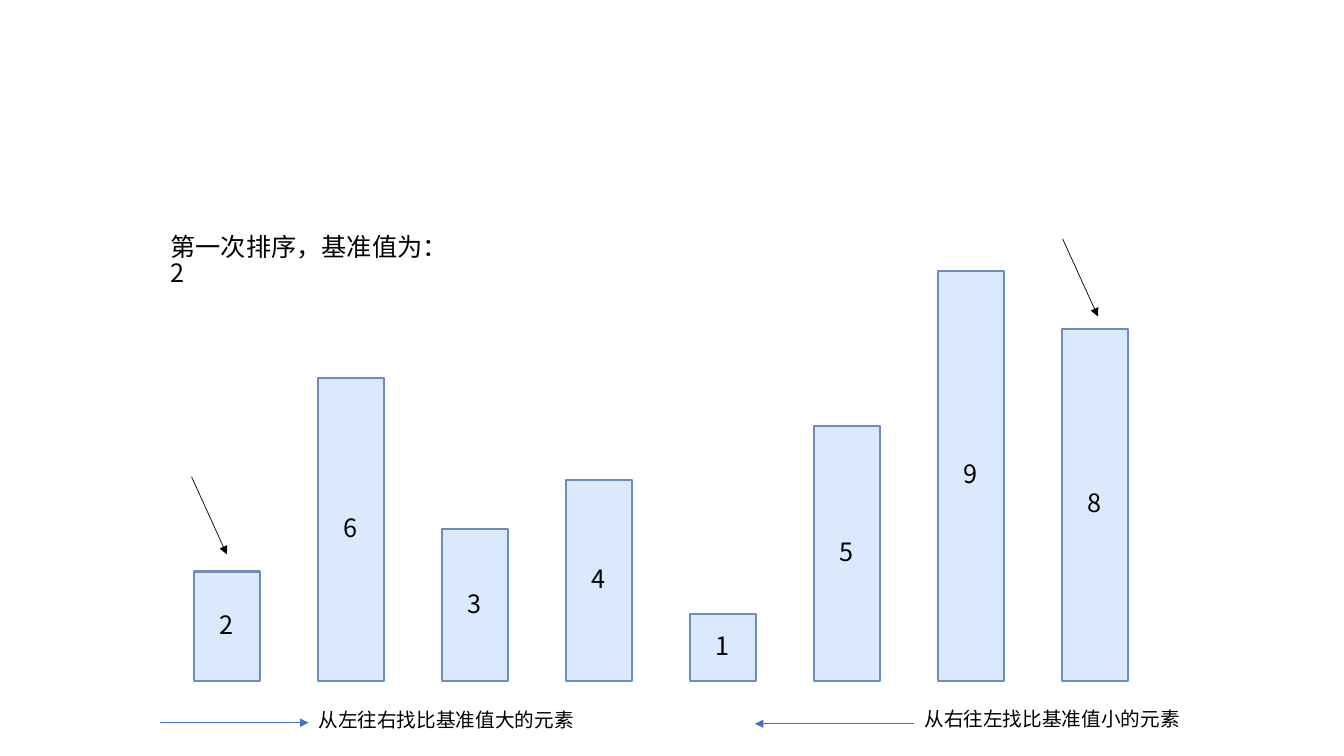
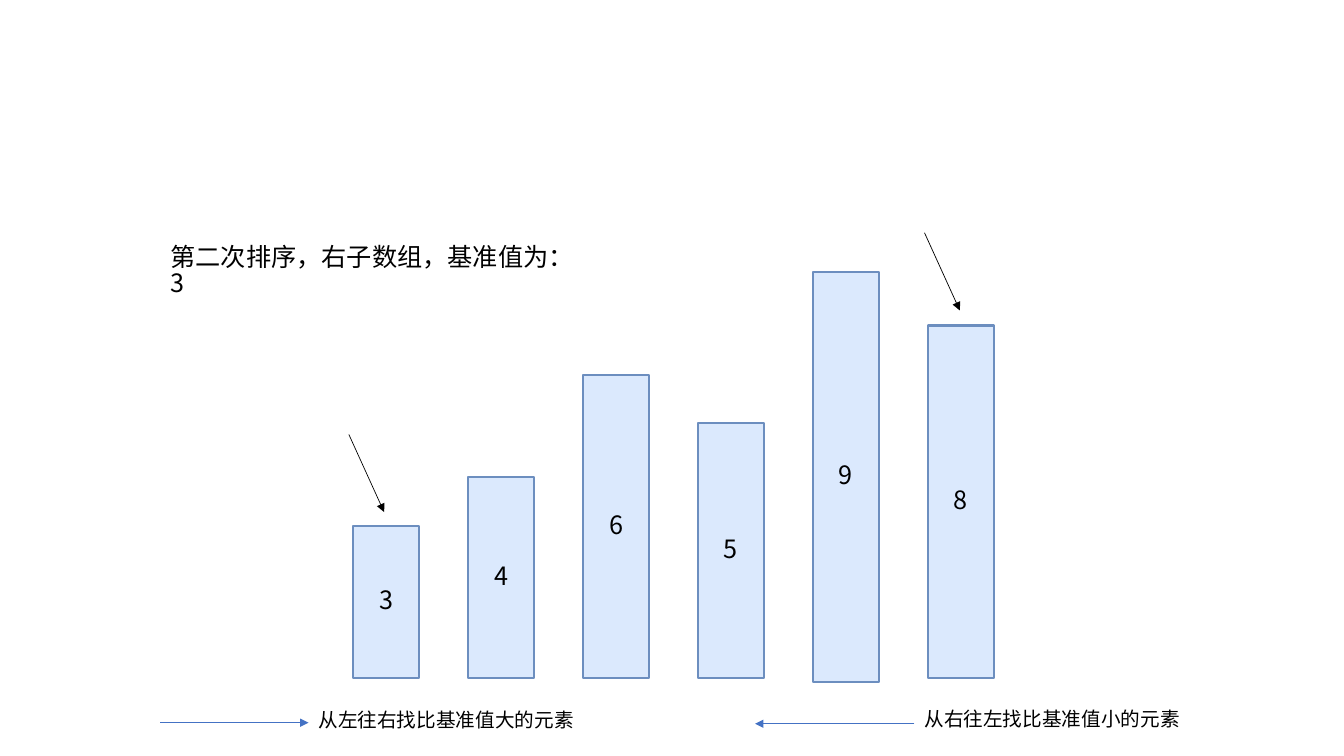
from pptx import Presentation
from pptx.dml.color import RGBColor
from pptx.enum.shapes import MSO_CONNECTOR, MSO_SHAPE
from pptx.enum.text import MSO_ANCHOR, MSO_AUTO_SIZE, PP_ALIGN
from pptx.oxml.ns import qn
from pptx.util import Inches, Pt
from lxml import etree

RECTANGLE = MSO_SHAPE.RECTANGLE
STRAIGHT = MSO_CONNECTOR.STRAIGHT
TOP, MIDDLE = MSO_ANCHOR.TOP, MSO_ANCHOR.MIDDLE
LEFT, CENTER = PP_ALIGN.LEFT, PP_ALIGN.CENTER
NO_AUTOFIT = MSO_AUTO_SIZE.NONE

# Content: one entry per sorting pass, lengths in inches
PASSES = [
    {"heading": "第一次排序，基准值为：2", "heading_top": 2.29,
     "values": [2, 6, 3, 4, 1, 5, 9, 8],
     "first_left": 1.92, "pitch": 1.23, "baseline": 6.76, "lowered": {},
     "pointers": [(1.9, 4.73), (10.54, 2.37)]},
    {"heading": "第二次排序，右子数组，基准值为：3", "heading_top": 2.39,
     "values": [3, 4, 6, 5, 9, 8],
     "first_left": 3.5, "pitch": 1.14, "baseline": 6.73, "lowered": {9: 0.04},
     "pointers": [(3.46, 4.31), (9.17, 2.31)]},
]
# Scan directions: text, text left and top, arrow start and end, arrow height
SCANS = [
    ("从左往右找比基准值大的元素", 3.06, 7.01, 1.59, 3.06, 7.17),
    ("从右往左找比基准值小的元素", 9.07, 7.0, 9.07, 7.49, 7.18),
]

# Shared style
COLORS = {"bar": "DBE9FD", "bar_edge": "6C8EBF", "scan": "4472C4", "ink": "000000"}
FONT = "Noto Sans CJK SC"
BAR_WIDTH = 0.66
BAR_HEIGHTS = {1: 0.67, 2: 1.09, 3: 1.51, 4: 2.0, 5: 2.53, 6: 3.01, 8: 3.5, 9: 4.07}
POINTER_RUN, POINTER_DROP = 0.35, 0.77
HEADING_LEFT, HEADING_CHAR, HEADING_PADDING = 1.59, 0.25, 0.3


def color(name):
    return RGBColor.from_string(COLORS[name])


def write(frame, text, size, align=LEFT, anchor=TOP):
    frame.text = text
    frame.word_wrap = True
    frame.auto_size = NO_AUTOFIT
    frame.vertical_anchor = anchor
    paragraph = frame.paragraphs[0]
    paragraph.alignment = align
    paragraph.line_spacing = 0.85
    font = paragraph.runs[0].font
    font.size = Pt(size)
    font.name = FONT
    font.color.rgb = color("ink")
    east_asian = etree.SubElement(font._element, qn("a:ea"))
    east_asian.set("typeface", FONT)


def add_arrow(slide, start, end, color_name):
    arrow = slide.shapes.add_connector(STRAIGHT, *map(Inches, start + end))
    arrow.line.color.rgb = color(color_name)
    arrow.line.width = Pt(0.5)
    head = etree.SubElement(arrow.line._get_or_add_ln(), qn("a:tailEnd"))
    head.set("type", "triangle")
    etree.SubElement(arrow._element.spPr, qn("a:effectLst"))


def add_bar(slide, value, left, bottom):
    height = BAR_HEIGHTS[value]
    bar = slide.shapes.add_shape(RECTANGLE, Inches(left), Inches(bottom - height),
                                 Inches(BAR_WIDTH), Inches(height))
    bar.shadow.inherit = False
    bar.fill.solid()
    bar.fill.fore_color.rgb = color("bar")
    bar.line.color.rgb = color("bar_edge")
    bar.line.width = Pt(1.5)
    write(bar.text_frame, str(value), 18, CENTER, MIDDLE)


def add_heading(slide, text, top):
    heading = slide.shapes.title
    heading.left, heading.top = Inches(HEADING_LEFT), Inches(top)
    # Wide enough for all but the pivot value, which falls on the next line
    heading.width = Inches(HEADING_CHAR * (len(text) - 1) + HEADING_PADDING)
    heading.height = Inches(0.4)
    write(heading.text_frame, text, 18)


def add_scans(slide):
    for text, left, top, start, end, height in SCANS:
        add_arrow(slide, (start, height), (end, height), "scan")
        label = slide.shapes.add_textbox(Inches(left), Inches(top), Inches(2.85), Inches(0.34))
        write(label.text_frame, text, 14)


deck = Presentation()
deck.slide_width, deck.slide_height = Inches(13.33), Inches(7.5)
title_only = deck.slide_layouts[5]

for sorting in PASSES:
    slide = deck.slides.add_slide(title_only)
    add_heading(slide, sorting["heading"], sorting["heading_top"])
    # Bars at equal steps on a common baseline
    for index, value in enumerate(sorting["values"]):
        add_bar(slide, value, sorting["first_left"] + index * sorting["pitch"],
                sorting["baseline"] + sorting["lowered"].get(value, 0))
    # Pointers to the first and last bar
    for x, y in sorting["pointers"]:
        add_arrow(slide, (x, y), (x + POINTER_RUN, y + POINTER_DROP), "ink")
    add_scans(slide)

deck.save("out.pptx")
